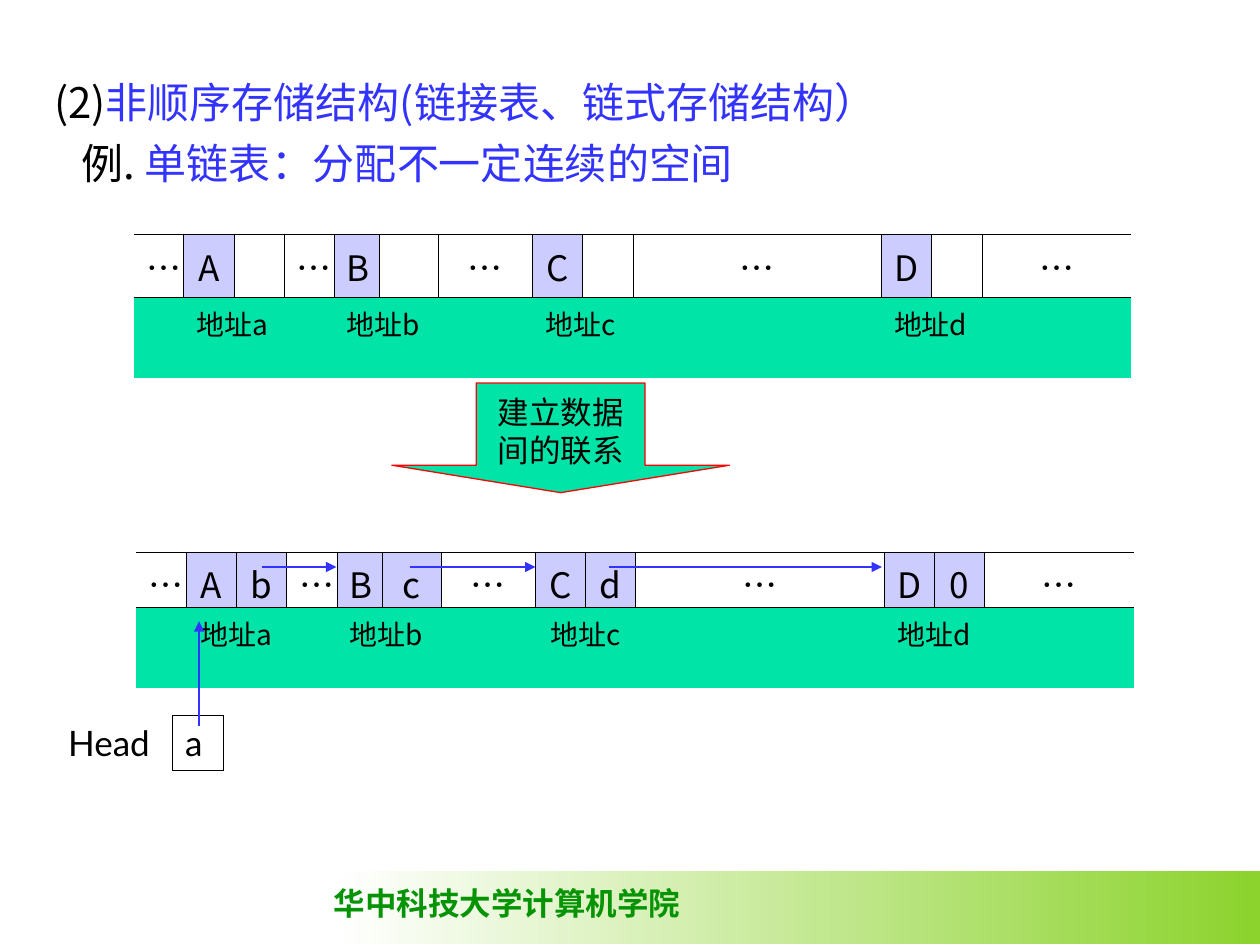
from dataclasses import dataclass

from lxml.etree import SubElement
from pptx import Presentation
from pptx.dml.color import RGBColor
from pptx.enum.shapes import MSO_CONNECTOR, MSO_SHAPE
from pptx.enum.text import MSO_ANCHOR, MSO_AUTO_SIZE, PP_ALIGN
from pptx.oxml.ns import qn
from pptx.util import Inches, Pt

COLORS = {"black": "000000", "blue": "3333FF", "lilac": "CCCCFF", "teal": "00E4A8",
          "red": "FF0000", "green": "069406", "lime": "8CD32D", "white": "FFFFFF"}
CJK = "Noto Sans CJK SC"
NO_STYLE = "{2D5ABB26-0587-4C30-8999-92F81FD0307C}"
MEMORY_WIDTH = 7.92
CELL_SHARES = [0.4] * 4 + [0.36, 0.47, 0.75, 0.4, 0.4, 1.98, 0.4, 0.4, 1.19]
NODE_COLUMNS = {"a": 1, "b": 4, "c": 7, "d": 10}
LEFT, CENTER = PP_ALIGN.LEFT, PP_ALIGN.CENTER


@dataclass
class Memory:
    left: float
    top: float
    row_heights: tuple[float, float]
    cells: list[str]
    address_aligns: list


@dataclass
class Arrow:
    start: tuple[float, float]
    end: tuple[float, float]


MEMORIES = [
    Memory(1.08, 4.38, (0.44, 0.64), list("…Ab…Bc…Cd…D0…"), [CENTER, LEFT, CENTER, CENTER]),
    Memory(1.06, 1.86, (0.5, 0.64),
           ["…", "A", "", "…", "B", "", "…", "C", "", "…", "D", "", "…"], [LEFT] * 4),
]
POINTERS = [
    Arrow((2.08, 4.5), (2.67, 4.5)),
    Arrow((3.25, 4.5), (4.25, 4.5)),
    Arrow((4.83, 4.5), (7, 4.5)),
    Arrow((1.58, 5.76), (1.58, 4.93)),
]


def rgb(name: str) -> RGBColor:
    return RGBColor.from_string(COLORS[name])


def add_run(paragraph, text: str, size: float, color: str, font: str = CJK, bold: bool = False):
    run = paragraph.add_run()
    run.text = text
    for key, value in {"size": Pt(size), "name": font, "bold": bold}.items():
        setattr(run.font, key, value)
    run.font.color.rgb = rgb(color)
    SubElement(run.font._element, qn("a:ea"), typeface=CJK)


def border_cell(cell, sides: str):
    """Draw a thin black border on each side named by a letter of L, R, T, B."""
    properties = cell._tc.get_or_add_tcPr()
    for position, side in enumerate(s for s in "LRTB" if s in sides):
        border = SubElement(properties, qn(f"a:ln{side}"), w=str(Pt(0.45)))
        fill = SubElement(border, qn("a:solidFill"))
        SubElement(fill, qn("a:srgbClr"), val=COLORS["black"])
        properties.insert(position, border)


def fill_cell(cell, color: str = ""):
    if color:
        cell.fill.solid()
        cell.fill.fore_color.rgb = rgb(color)
    else:
        cell.fill.background()


def write_cell(cell, text: str, size: float, align=LEFT, font: str = CJK):
    paragraph = cell.text_frame.paragraphs[0]
    paragraph.alignment = align
    if text:
        add_run(paragraph, text, size, "black", font)
    else:
        paragraph.font.size = Pt(size)


def add_plain_table(slide, left: float, top: float, widths: list[float], heights):
    frame = slide.shapes.add_table(len(heights), len(widths), Inches(left), Inches(top),
                                   Inches(sum(widths)), Inches(sum(heights)))
    table = frame.table
    table.first_row = table.horz_banding = False
    table._tbl.tblPr.find(qn("a:tableStyleId")).text = NO_STYLE
    for column, width in zip(table.columns, widths):
        column.width = Inches(width)
    for row, height in zip(table.rows, heights):
        row.height = Inches(height)
    return table


def add_memory(slide, memory: Memory):
    scale = MEMORY_WIDTH / sum(CELL_SHARES)
    widths = [share * scale for share in CELL_SHARES]
    table = add_plain_table(slide, memory.left, memory.top, widths, memory.row_heights)
    last = len(widths) - 1
    for column, text in enumerate(memory.cells):
        content, address = table.cell(0, column), table.cell(1, column)
        write_cell(content, text, 20, CENTER)
        fill_cell(content, "lilac" if text and text != "…" else "")
        border_cell(content, "TB" + "L" * (column > 0) + "R" * (column < last))
        fill_cell(address, "teal")
        border_cell(address, "T")
        write_cell(address, "", 16)
    for (name, column), align in zip(NODE_COLUMNS.items(), memory.address_aligns):
        address = table.cell(1, column)
        address.merge(table.cell(1, column + 1))
        write_cell(address, f"地址{name}", 16, align)


def add_head(slide):
    table = add_plain_table(slide, 0.44, 5.68, [0.93, 0.4], [0.43])
    for column, (text, sides) in enumerate([("Head", "R"), ("a", "LRTB")]):
        cell = table.cell(0, column)
        write_cell(cell, text, 20, font="Lato")
        fill_cell(cell)
        border_cell(cell, sides)


def add_arrow(slide, arrow: Arrow):
    ends = [Inches(value) for value in arrow.start + arrow.end]
    connector = slide.shapes.add_connector(MSO_CONNECTOR.STRAIGHT, *ends)
    connector.line.color.rgb = rgb("blue")
    connector.line.width = Pt(0.75)
    SubElement(connector.line._get_or_add_ln(), qn("a:tailEnd"), type="triangle")
    SubElement(connector._element.spPr, qn("a:effectLst"))


def add_footer(slide):
    band = slide.shapes.add_shape(MSO_SHAPE.RECTANGLE, Inches(2.67), Inches(6.91),
                                  Inches(7.33), Inches(0.58))
    band.shadow.inherit = False
    band.line.fill.background()
    band.fill.gradient()
    band.fill.gradient_angle = 0
    for stop, color, position in zip(band.fill.gradient_stops, ("white", "lime"), (0, 1)):
        stop.color.rgb = rgb(color)
        stop.position = position
    school = slide.shapes.add_textbox(Inches(2.55), Inches(6.97), Inches(2.95), Inches(0.4))
    school.text_frame.word_wrap = False
    add_run(school.text_frame.paragraphs[0], "华中科技大学计算机学院", 18, "green",
            "Times New Roman", True)


def write_heading(slide):
    heading = slide.shapes.title
    for key, value in {"left": 0.33, "top": 0.56, "width": 9.33, "height": 1.14}.items():
        setattr(heading, key, Inches(value))
    frame = heading.text_frame
    for key, value in {"vertical_anchor": MSO_ANCHOR.TOP, "word_wrap": True,
                       "auto_size": MSO_AUTO_SIZE.NONE}.items():
        setattr(frame, key, value)
    lines = [("(2)", "非顺序存储结构(链接表、链式存储结构）", 0),
             ("例. ", "单链表：分配不一定连续的空间", 0.22)]
    for number, (label, topic, indent) in enumerate(lines):
        paragraph = frame.add_paragraph() if number else frame.paragraphs[0]
        paragraph._p.get_or_add_pPr().set("marL", str(Inches(indent)))
        paragraph.alignment = LEFT
        paragraph.space_before = Pt(6 * number)
        add_run(paragraph, label, 24, "black")
        add_run(paragraph, topic, 24, "blue")


def add_link_step(slide):
    step = slide.shapes.add_shape(MSO_SHAPE.DOWN_ARROW, Inches(3.11), Inches(3.04),
                                  Inches(2.68), Inches(0.87))
    step.adjustments[0], step.adjustments[1] = 0.5, 0.25
    step.shadow.inherit = False
    step.fill.solid()
    step.fill.fore_color.rgb = rgb("teal")
    step.line.color.rgb = rgb("red")
    step.line.width = Pt(0.75)
    frame = step.text_frame
    frame.word_wrap = False
    frame.vertical_anchor = MSO_ANCHOR.MIDDLE
    for number, text in enumerate(["建立数据", "间的联系"]):
        paragraph = frame.add_paragraph() if number else frame.paragraphs[0]
        paragraph.alignment = CENTER
        add_run(paragraph, text, 18, "black", "Arial")


def main():
    deck = Presentation()
    deck.slide_width, deck.slide_height = Inches(10), Inches(7.5)
    slide = deck.slides.add_slide(deck.slide_layouts[5])
    add_footer(slide)
    write_heading(slide)
    for memory in MEMORIES:
        add_memory(slide, memory)
    add_head(slide)
    for pointer in POINTERS:
        add_arrow(slide, pointer)
    add_link_step(slide)
    deck.save("out.pptx")


if __name__ == "__main__":
    main()
